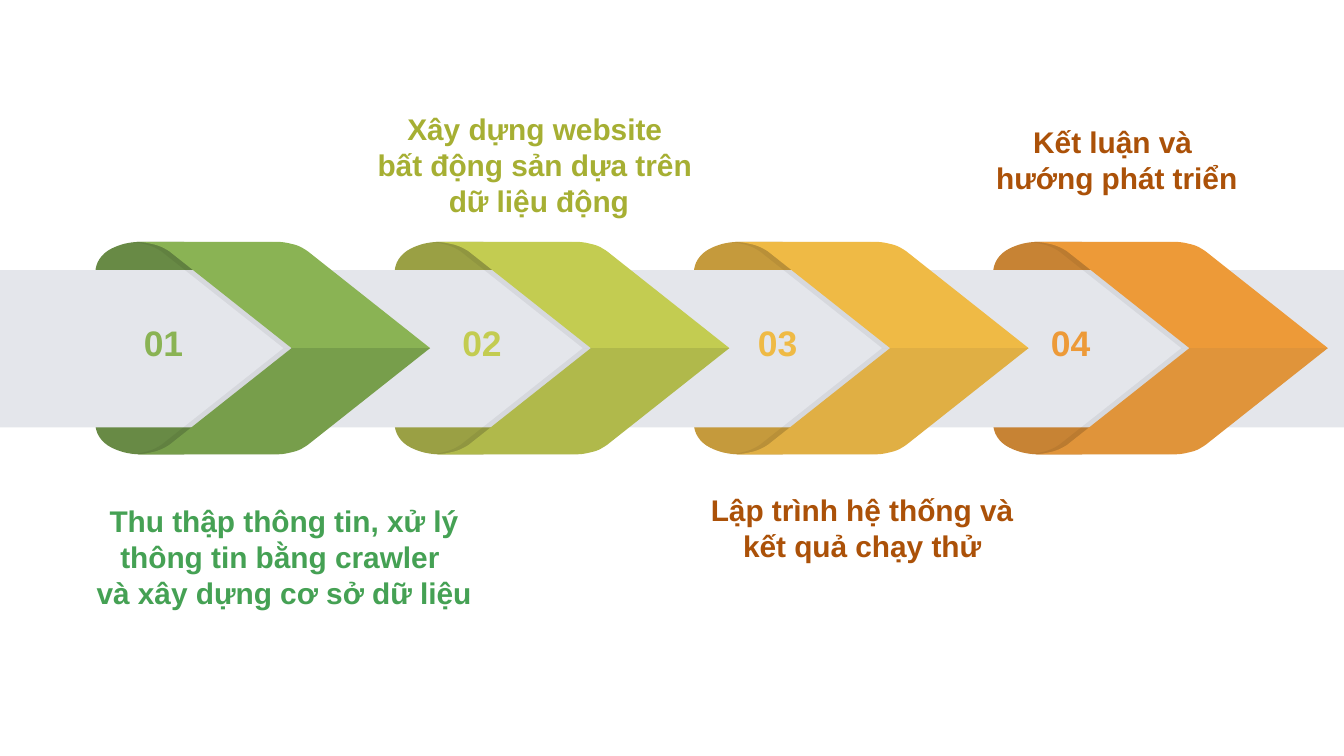
from lxml import etree
from pptx import Presentation
from pptx.dml.color import RGBColor
from pptx.enum.shapes import MSO_SHAPE
from pptx.enum.text import MSO_ANCHOR, MSO_AUTO_SIZE, PP_ALIGN
from pptx.oxml.ns import qn
from pptx.util import Inches, Pt

RECT = MSO_SHAPE.RECTANGLE
LEFT, CENTER = PP_ALIGN.LEFT, PP_ALIGN.CENTER

# Content: number, its left and width, then fold, upper and lower colours
STEPS = [
    ("01", 1.01, 0.58, "688A45", "8AB354", "779E4B"),
    ("02", 3.38, 0.60, "9AA044", "C3CC51", "B0B94B"),
    ("03", 5.58, 0.49, "C59A3C", "EFBA45", "E0AF44"),
    ("04", 7.76, 0.55, "C78334", "ED9A38", "E0943A"),
]
# Captions: box, colour, paragraphs
NOTES = [
    ((0.65, 3.68, 2.93, 0.92), "45A154",
     ["Thu thập thông tin, xử lý thông tin bằng crawler ",
      "và xây dựng cơ sở dữ liệu"]),
    ((2.55, 0.75, 2.92, 0.95), "A6AF33",
     ["Xây dựng website ", "bất động sản dựa trên ", "dữ liệu động"]),
    ((5.17, 3.60, 2.49, 0.65), "AB5108",
     ["Lập trình hệ thống và kết quả chạy thử"]),
    ((7.14, 0.86, 2.34, 0.65), "AB5108",
     ["Kết luận và ", "hướng phát triển"]),
]

# Half outlines: x from the ribbon start, y up from the middle line.
# One point is a straight line, three points are a Bézier curve.
RIBBON = [
    [(0, 0.79)],
    [(0.04, 0.79), (0.09, 0.78), (0.13, 0.77)],
    [(0.17, 0.76), (0.21, 0.74), (0.24, 0.72)],
    [(1.15, 0)], [(2.18, 0)], [(1.27, 0.72)],
    [(1.24, 0.74), (1.21, 0.76), (1.17, 0.77)],
    [(1.13, 0.78), (1.09, 0.79), (1.05, 0.79)],
]
FOLD = [
    [(0.02, 0.79)],
    [(-0.06, 0.79), (-0.13, 0.77), (-0.19, 0.74)],
    [(-0.27, 0.70), (-0.31, 0.63), (-0.31, 0.56)],
    [(-0.31, 0)], [(1.39, 0)], [(0.35, 0.79)],
]
WIDE, MID = 10, 2.59
HIGH = WIDE * 9 / 16
FIRST, LAST = 1.02, 7.70
GAP = (LAST - FIRST) / (len(STEPS) - 1)
SHIFT = 0.06
UP, DOWN = -1, 1
PAD = Inches(0.06)
FRAME = dict(word_wrap=True, auto_size=MSO_AUTO_SIZE.SHAPE_TO_FIT_TEXT,
             vertical_anchor=MSO_ANCHOR.MIDDLE, margin_left=PAD,
             margin_right=PAD, margin_top=PAD, margin_bottom=PAD)
FONT = dict(name="Arial", bold=True)

deck = Presentation()
deck.slide_width, deck.slide_height = Inches(WIDE), Inches(HIGH)
slide = deck.slides.add_slide(deck.slide_layouts[6])
shapes = slide.shapes


def rgb(code):
    return RGBColor.from_string(code)


def put(item, values):
    for key, value in values.items():
        setattr(item, key, value)


def paint(shape, color, alpha=None):
    shape.shadow.inherit = False
    shape.line.fill.background()
    shape.fill.solid()
    shape.fill.fore_color.rgb = rgb(color)
    if alpha:
        tone = shape.fill._xPr.find(".//" + qn("a:srgbClr"))
        etree.SubElement(tone, qn("a:alpha")).set("val", str(alpha * 1000))


def trace(parts, count=8):
    """Turn lines and curves into a list of points."""
    dots = []
    for part in parts:
        if len(part) == 1:
            dots += part
            continue
        ends = [dots[-1], *part]
        for i in range(1, count + 1):
            t = i / count
            mix = ((1 - t) ** 3, 3 * t * (1 - t) ** 2,
                   3 * t * t * (1 - t), t ** 3)
            dots.append(tuple(sum(m * p[axis] for m, p in zip(mix, ends))
                              for axis in (0, 1)))
    return dots


def draw(parts, left, side, color, alpha=None):
    dots = [(Inches(left + x), Inches(MID + side * y))
            for x, y in trace(parts)]
    pen = shapes.build_freeform(*dots[0])
    pen.add_line_segments(dots[1:], close=True)
    paint(pen.convert_to_shape(), color, alpha)


def write(box, lines, size, color, align):
    frame = shapes.add_textbox(*map(Inches, box)).text_frame
    put(frame, FRAME)
    for i, line in enumerate(lines):
        para = frame.paragraphs[0] if i == 0 else frame.add_paragraph()
        para.alignment = align
        run = para.add_run()
        run.text = line
        put(run.font, dict(FONT, size=Pt(size)))
        run.font.color.rgb = rgb(color)


# Folds behind the band, right to left
spots = [(FIRST + i * GAP, step) for i, step in enumerate(STEPS)][::-1]
for left, step in spots:
    for side in (UP, DOWN):
        draw(FOLD, left, side, step[3])

# Grey band
band = shapes.add_shape(RECT, 0, Inches(2.01), Inches(WIDE), Inches(1.17))
paint(band, "E4E6EB")

# Ribbons, each over its own soft shade
for left, step in spots:
    for side in (UP, DOWN):
        draw(RIBBON, left - SHIFT, side, "000000", 6)
    for side, color in zip((UP, DOWN), step[4:]):
        draw(RIBBON, left, side, color)

# Numbers and captions
for label, left, width, _, color, _ in STEPS:
    write((left, 2.33, width, 0.43), [label], 19, color, LEFT)
for box, color, lines in NOTES:
    write(box, lines, 16, color, CENTER)

deck.save("out.pptx")
